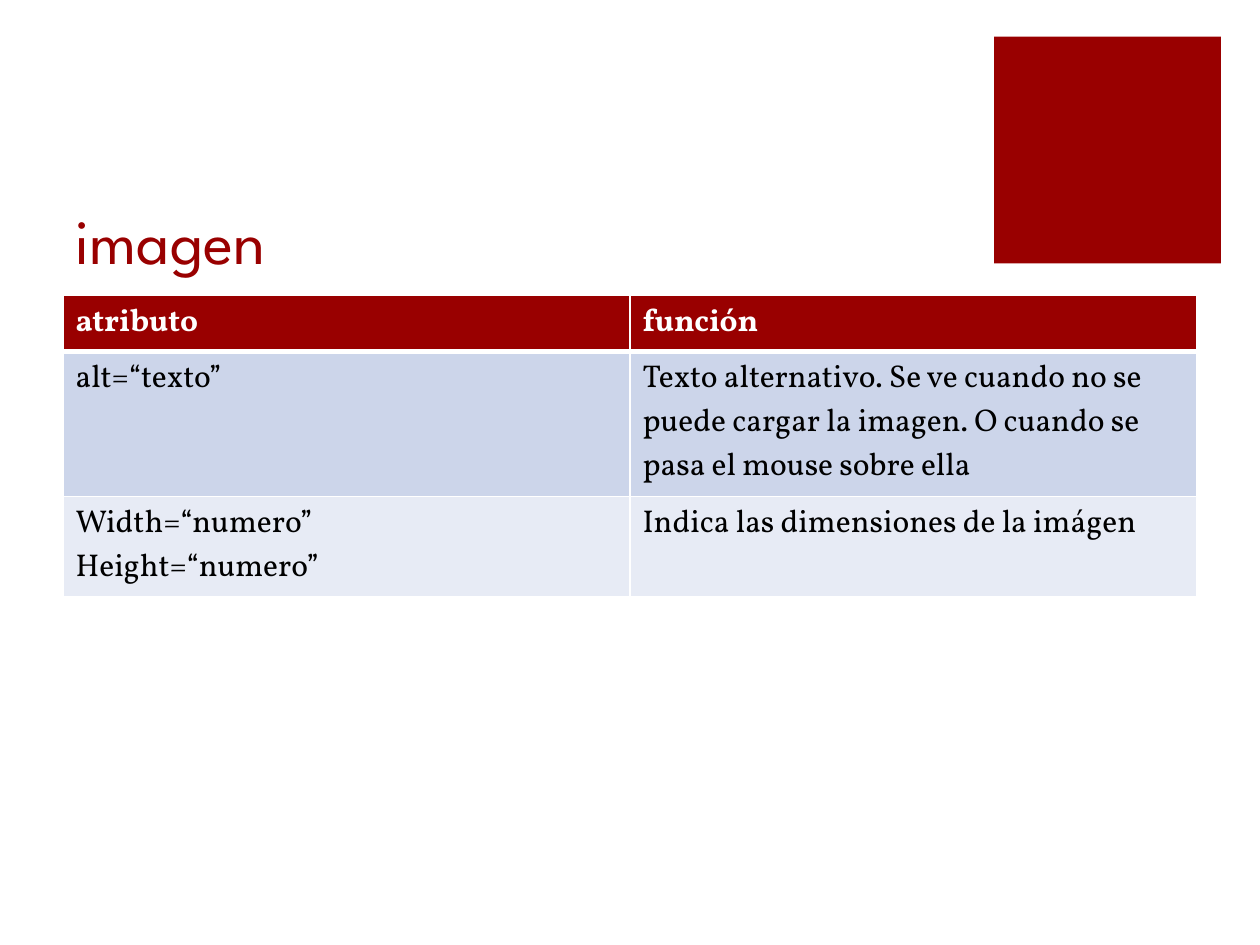
from pptx import Presentation
from pptx import util as u
from pptx.dml.color import RGBColor
from pptx.enum import shapes, text
from pptx.oxml import parse_xml
from pptx.oxml.ns import nsdecls

# Content
TITLE = "imagen"
ROWS = [
    ("atributo", "función"),
    ("alt=“texto”",
     "Texto alternativo. Se ve cuando no se puede cargar la imagen. "
     "O cuando se pasa el mouse sobre ella"),
    ("Width=“numero”\nHeight=“numero”", "Indica las dimensiones de la imágen"),
]
LINES_PER_ROW = (1, 3, 2)

THEME = {
    "accent": "990000",
    "border": "FFFFFF",
    "bands": ("CCD5EA", "E7EBF5"),
    "title": {"name": "League Spartan", "size": 36, "bold": False, "color": "990000"},
    "header": {"name": "Vollkorn", "size": 18, "bold": True, "color": "FFFFFF"},
    "body": {"name": "Vollkorn", "size": 18, "bold": False, "color": "000000"},
}

# Layout in inches
WIDTH, HEIGHT = 10, 7.5
MARGIN = 0.05 * WIDTH
SQUARE = 0.18 * WIDTH
TABLE_TOP = 2.34
LINE_HEIGHT, ROW_PADDING = 0.35, 0.1
ROW_HEIGHTS = [ROW_PADDING + LINE_HEIGHT * lines for lines in LINES_PER_ROW]
THIN, THICK = 1, 3


def style_text(frame, style):
    for para in frame.paragraphs:
        for span in para.runs:
            formats = {**style, "size": u.Pt(style["size"])}
            span.font.color.rgb = RGBColor.from_string(formats.pop("color"))
            for name, value in formats.items():
                setattr(span.font, name, value)


def set_borders(cell, widths):
    properties = cell._tc.get_or_add_tcPr()
    for index, (side, width) in enumerate(widths.items()):
        properties.insert(index, parse_xml(
            f'<a:ln{side} {nsdecls("a")} w="{u.Pt(width)}"><a:solidFill>'
            f'<a:srgbClr val="{THEME["border"]}"/></a:solidFill></a:ln{side}>'))


deck = Presentation()
deck.slide_width, deck.slide_height = u.Inches(WIDTH), u.Inches(HEIGHT)
page = deck.slides.add_slide(deck.slide_layouts[6])

# Corner square
square = page.shapes.add_shape(
    shapes.MSO_SHAPE.RECTANGLE,
    *map(u.Inches, (7.89, 0.29, SQUARE, SQUARE)))
square.shadow.inherit = False
square.fill.solid()
square.fill.fore_color.rgb = RGBColor.from_string(THEME["accent"])
square.line.fill.background()

# Title
box = page.shapes.add_textbox(*map(u.Inches, (MARGIN, 1, 7.12, 1.25)))
frame = box.text_frame
frame.word_wrap = True
frame.vertical_anchor = text.MSO_ANCHOR.BOTTOM
frame.text = TITLE
style_text(frame, THEME["title"])

# Attribute table
table = page.shapes.add_table(
    len(ROWS), len(ROWS[0]),
    *map(u.Inches, (MARGIN, TABLE_TOP, WIDTH - 2 * MARGIN, sum(ROW_HEIGHTS)))).table
for row, (values, height) in enumerate(zip(ROWS, ROW_HEIGHTS)):
    table.rows[row].height = u.Inches(height)
    header = row == 0
    fill = THEME["accent"] if header else THEME["bands"][(row - 1) % 2]
    borders = {"L": THIN, "R": THIN,
               "T": THICK if row == 1 else THIN,
               "B": THICK if header else THIN}
    for column, value in enumerate(values):
        cell = table.cell(row, column)
        cell.text = value
        style_text(cell.text_frame, THEME["header" if header else "body"])
        cell.fill.solid()
        cell.fill.fore_color.rgb = RGBColor.from_string(fill)
        set_borders(cell, borders)

deck.save("out.pptx")
